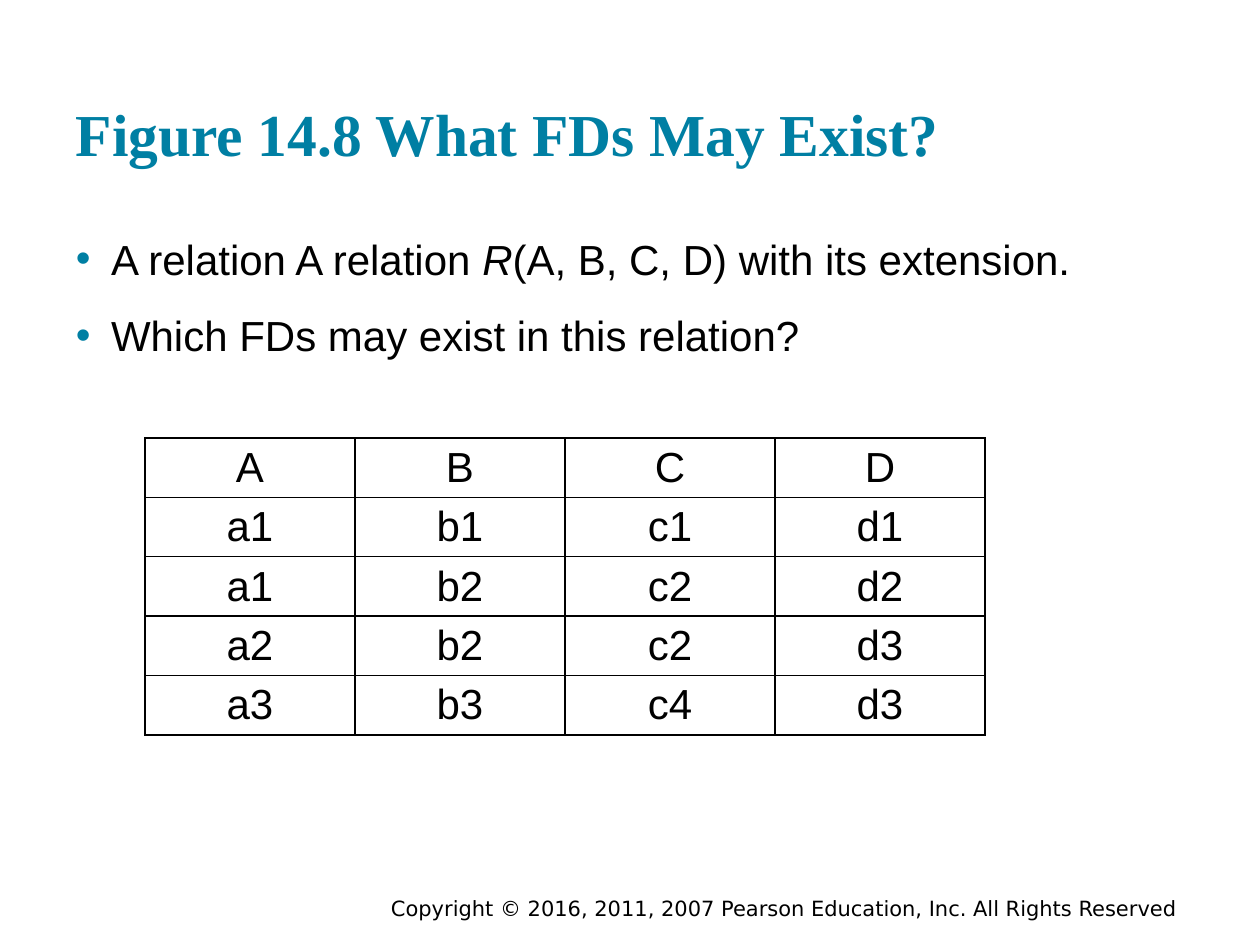
from pptx import Presentation
from pptx.dml.color import RGBColor
from pptx.enum.text import MSO_ANCHOR as Anchor, MSO_AUTO_SIZE as AutoSize, PP_ALIGN as Align
from pptx.oxml import parse_xml
from pptx.oxml.ns import nsdecls
from pptx.util import Pt

PX = 914400 // 126
TEAL, BLACK = "007FA3", "000000"
INSET = 0.1 * 126
INDENT = 35


def rgb(hex_color):
    return RGBColor.from_string(hex_color)


def set_font(font, name, size, color, bold=False):
    values = {"name": name, "size": Pt(size), "bold": bold}
    for key, value in values.items():
        setattr(font, key, value)
    font.color.rgb = rgb(color)


deck = Presentation()
deck.slide_width, deck.slide_height = 1260 * PX, 945 * PX
slide = deck.slides.add_slide(deck.slide_layouts[1])
heading, points = slide.placeholders
copyright_line = slide.shapes.add_textbox(0, 0, PX, PX)

frames = [
    (heading, (63, 30, 1134, 151), Anchor.BOTTOM, 13),
    (points, (63, 220, 1134, 156), Anchor.TOP, 13),
    (copyright_line, (378, 892, 838, 32), Anchor.MIDDLE, 6),
]
for box, bounds, anchor, margin in frames:
    for side, length in zip(("left", "top", "width", "height"), bounds):
        setattr(box, side, length * PX)
    layout = {
        "word_wrap": True,
        "auto_size": AutoSize.NONE,
        "vertical_anchor": anchor,
        "margin_left": 13 * PX,
        "margin_right": 13 * PX,
        "margin_top": margin * PX,
        "margin_bottom": margin * PX,
    }
    for key, value in layout.items():
        setattr(box.text_frame, key, value)

title_line = heading.text_frame.paragraphs[0]
title_line.text = "Figure 14.8 What FDs May Exist?"
title_line.alignment = Align.LEFT
set_font(title_line.runs[0].font, "Times New Roman", 34, TEAL, True)

statements = [
    [("A relation A relation ", False), ("R", True), ("(A, B, C, D) with its extension.", False)],
    [("Which FDs may exist in this relation?", False)],
]
for index, statement in enumerate(statements):
    point = points.text_frame.paragraphs[0] if index == 0 else points.text_frame.add_paragraph()
    point.space_before = Pt(15 if index else 0)
    point.alignment = Align.LEFT
    properties = point._p.get_or_add_pPr()
    properties.set("marL", str(INDENT * PX))
    properties.set("indent", str(-INDENT * PX))
    for bullet in (
        f'<a:buClr {nsdecls("a")}><a:srgbClr val="{TEAL}"/></a:buClr>',
        f'<a:buFont {nsdecls("a")} typeface="Arial"/>',
        f'<a:buChar {nsdecls("a")} char="•"/>',
    ):
        properties.append(parse_xml(bullet))
    for words, italic in statement:
        run = point.add_run()
        run.text = words
        set_font(run.font, "Arial", 24, BLACK)
        run.font.italic = italic

rights = copyright_line.text_frame.paragraphs[0]
rights.text = "Copyright © 2016, 2011, 2007 Pearson Education, Inc. All Rights Reserved"
set_font(rights.runs[0].font, "DejaVu Sans", 12, BLACK)

tuples = ["A B C D", "a1 b1 c1 d1", "a1 b2 c2 d2", "a2 b2 c2 d3", "a3 b3 c4 d3"]
relation = slide.shapes.add_table(5, 4, 145 * PX, 438 * PX, 840 * PX, 297 * PX).table
relation.first_row = relation.horz_banding = False
for row, values in enumerate(tuples):
    for column, value in enumerate(values.split()):
        cell = relation.cell(row, column)
        cell.text = value
        cell.vertical_anchor = Anchor.MIDDLE
        cell.margin_top = cell.margin_bottom = 5 * PX
        entry = cell.text_frame.paragraphs[0]
        entry.alignment = Align.CENTER
        set_font(entry.runs[0].font, "Arial", 24, BLACK)
        borders = cell._tc.get_or_add_tcPr()
        for edge in ("lnL", "lnR", "lnT", "lnB"):
            borders.append(parse_xml(
                f'<a:{edge} {nsdecls("a")} w="{Pt(1)}"><a:solidFill>'
                f'<a:srgbClr val="{BLACK}"/></a:solidFill></a:{edge}>'
            ))
        cell.fill.background()

deck.save("out.pptx")
